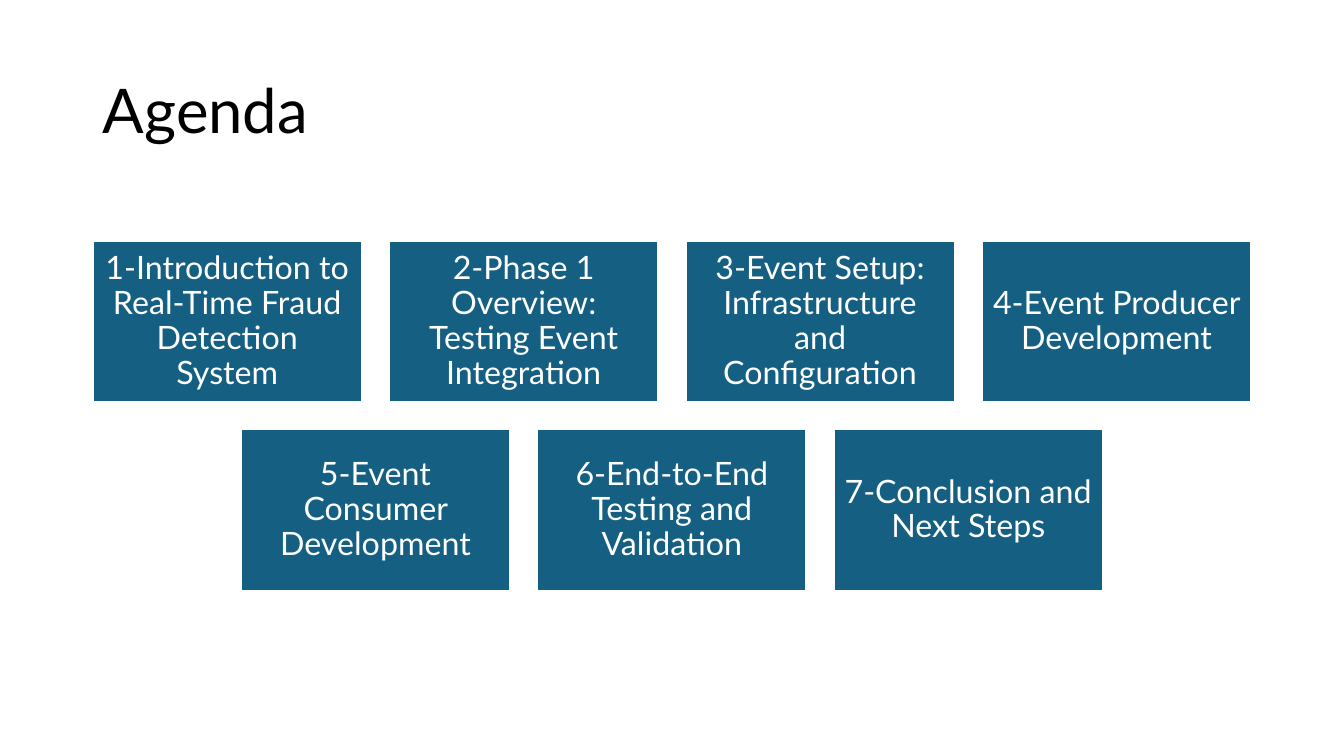
from pptx import Presentation
from pptx import util as u
from pptx.dml.color import RGBColor
from pptx.enum import shapes, text

TITLE = "Agenda"
AGENDA_ROWS = [
    [
        "1-Introduction to Real-Time Fraud Detection System",
        "2-Phase 1 Overview: Testing Event Integration",
        "3-Event Setup: Infrastructure and Configuration",
        "4-Event Producer Development",
    ],
    [
        "5-Event Consumer Development",
        "6-End-to-End Testing and Validation",
        "7-Conclusion and Next Steps",
    ],
]
COLORS = {"title": "000000", "card": "156082", "card_text": "FFFFFF", "edge": "FFFFFF"}
FONT = "Lato"

SLIDE_W, SLIDE_H = 13.33, 7.5
MARGIN = 0.92
CARD_W, CARD_H = 2.67, 1.6
GAP = 0.27
CARDS_TOP = 2.39


def color(name):
    return RGBColor.from_string(COLORS[name])


def write(shape, words, size, color_name, align):
    frame = shape.text_frame
    frame.word_wrap = True
    frame.vertical_anchor = text.MSO_ANCHOR.MIDDLE
    frame.margin_left = frame.margin_right = u.Inches(0.1)
    frame.text = words
    paragraph = frame.paragraphs[0]
    paragraph.alignment = align
    paragraph.line_spacing = 0.9
    font = paragraph.runs[0].font
    font.name, font.size = FONT, u.Pt(size)
    font.color.rgb = color(color_name)


def add_card(slide, words, left, top):
    card = slide.shapes.add_shape(
        shapes.MSO_SHAPE.RECTANGLE,
        u.Inches(left), u.Inches(top), u.Inches(CARD_W), u.Inches(CARD_H))
    card.shadow.inherit = False
    card.fill.solid()
    card.fill.fore_color.rgb = color("card")
    card.line.color.rgb = color("edge")
    card.line.width = u.Pt(1.5)
    write(card, words, 23, "card_text", text.PP_ALIGN.CENTER)
    card.text_frame.margin_top = card.text_frame.margin_bottom = u.Inches(0.1)


def main():
    deck = Presentation()
    deck.slide_width, deck.slide_height = u.Inches(SLIDE_W), u.Inches(SLIDE_H)
    slide = deck.slides.add_slide(deck.slide_layouts[6])

    title = slide.shapes.add_textbox(
        u.Inches(MARGIN), u.Inches(0.4), u.Inches(SLIDE_W - 2 * MARGIN), u.Inches(1.45))
    write(title, TITLE, 44, "title", text.PP_ALIGN.LEFT)

    for row, topics in enumerate(AGENDA_ROWS):
        row_width = len(topics) * (CARD_W + GAP) - GAP
        row_left = (SLIDE_W - row_width) / 2
        for column, topic in enumerate(topics):
            add_card(slide, topic,
                     row_left + column * (CARD_W + GAP),
                     CARDS_TOP + row * (CARD_H + GAP))

    deck.save("out.pptx")


if __name__ == "__main__":
    main()
